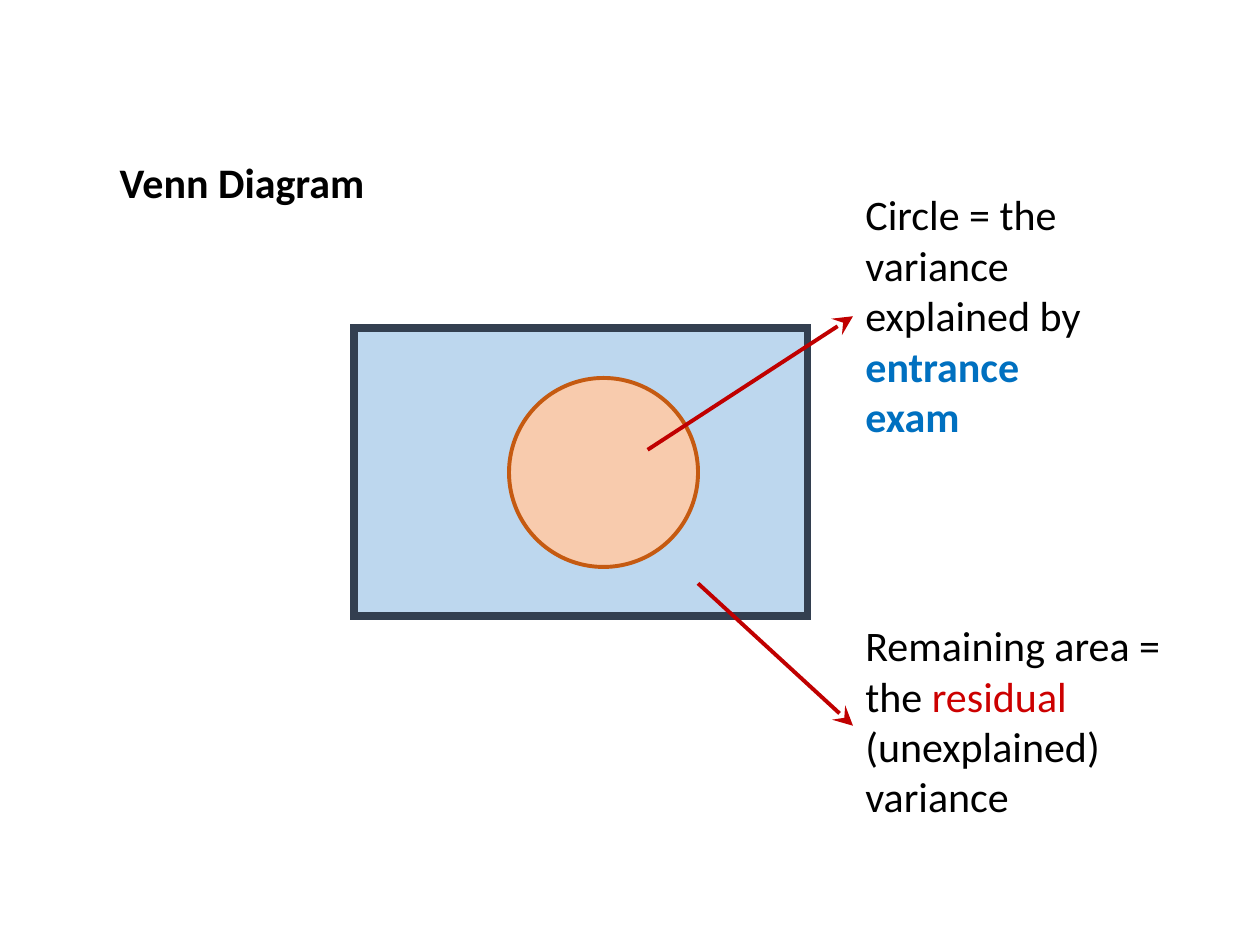
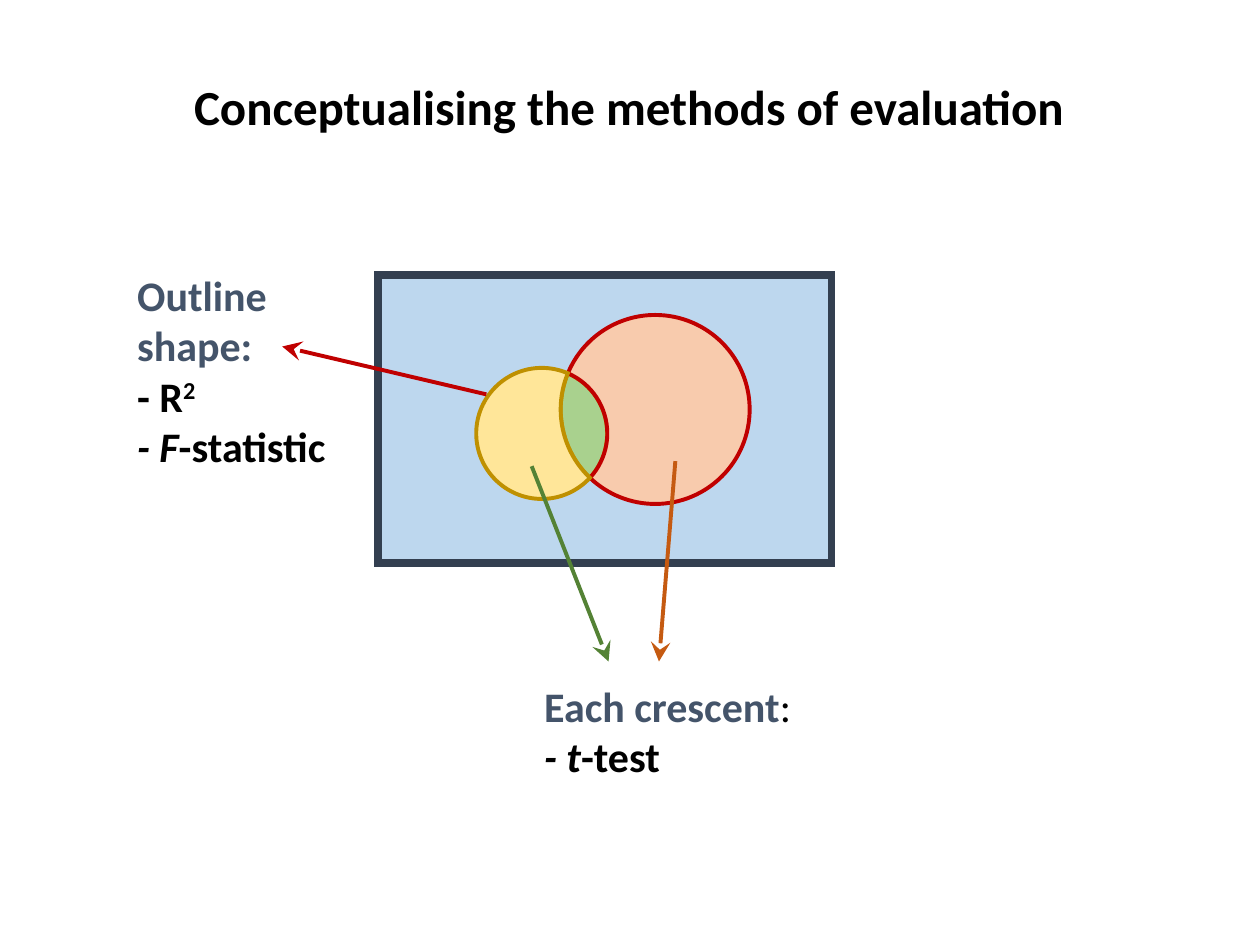
from dataclasses import dataclass
from math import acos, atan2, ceil, cos, floor, hypot, pi, sin, tan

from lxml.etree import SubElement
from pptx import Presentation
from pptx.dml.color import RGBColor
from pptx.enum.shapes import MSO_CONNECTOR, MSO_SHAPE
from pptx.enum.text import MSO_ANCHOR, MSO_AUTO_SIZE, PP_ALIGN
from pptx.oxml.ns import qn
from pptx.shapes.base import BaseShape
from pptx.slide import Slide
from pptx.text.text import TextFrame
from pptx.util import Emu, Pt

PX = 9144  # 100 px to the inch
TITLE_ONLY_LAYOUT = 5
QUARTER = pi / 2

Points = list[tuple[float, float]]


@dataclass(frozen=True)
class Theme:
    font: str = "Calibri"
    title_size: int = 28
    text_size: int = 24
    outline: float = 2.25
    frame_outline: float = 4.5
    black: str = "000000"
    white: str = "FFFFFF"
    slate: str = "44546A"
    navy: str = "333F50"
    sky: str = "BDD7EE"
    blue: str = "0070C0"
    peach: str = "F8CBAD"
    orange: str = "C55A11"
    red: str = "C00000"
    residual_red: str = "CC0000"
    mint: str = "A9D18E"
    green: str = "548235"
    yellow: str = "FFE699"
    gold: str = "BF9000"


THEME = Theme()


@dataclass(frozen=True)
class Box:
    left: int
    top: int
    width: int
    height: int

    def emu(self) -> tuple[Emu, Emu, Emu, Emu]:
        return tuple(Emu(value * PX) for value in (self.left, self.top, self.width, self.height))


@dataclass(frozen=True)
class Span:
    text: str
    color: str = THEME.black
    bold: bool = False
    italic: bool = False
    superscript: bool = False


@dataclass(frozen=True)
class Label:
    box: Box
    paragraphs: list[list[Span]]


@dataclass(frozen=True)
class Arrow:
    start: tuple[int, int]
    tip: tuple[int, int]
    color: str = THEME.red


@dataclass(frozen=True)
class Circle:
    x: int
    y: int
    radius: int

    def box(self) -> Box:
        return Box(self.x - self.radius, self.y - self.radius, 2 * self.radius, 2 * self.radius)

    def arc(self, start: float, end: float) -> Points:
        """Return Bézier points of an arc, cut at the quarters so that none leaves the box."""
        quarters = range(floor(start / QUARTER) + 1, ceil(end / QUARTER))
        angles = [start, *(quarter * QUARTER for quarter in quarters), end]

        def point(angle: float, pull: float = 0) -> tuple[float, float]:
            return (self.x + self.radius * (cos(angle) - pull * sin(angle)),
                    self.y + self.radius * (sin(angle) + pull * cos(angle)))

        points = [point(start)]
        for first, last in zip(angles, angles[1:]):
            pull = 4 / 3 * tan((last - first) / 4)
            points += [point(first, pull), point(last, -pull), point(last)]
        return points

    def split_by(self, other: "Circle") -> tuple[Points, Points]:
        """Return the arcs of this circle inside and outside the other, both clockwise."""
        distance = hypot(other.x - self.x, other.y - self.y)
        toward = atan2(other.y - self.y, other.x - self.x)
        half = acos((distance ** 2 + self.radius ** 2 - other.radius ** 2)
                    / (2 * distance * self.radius))
        return (self.arc(toward - half, toward + half),
                self.arc(toward + half, toward - half + 2 * pi))


def paint(shape: BaseShape, fill: str, line: str | None = None,
          width: float = THEME.outline) -> None:
    shape.shadow.inherit = False
    shape.fill.solid()
    shape.fill.fore_color.rgb = RGBColor.from_string(fill)
    if line is None:
        shape.line.fill.background()
    else:
        shape.line.color.rgb = RGBColor.from_string(line)
        shape.line.width = Pt(width)
        SubElement(shape.line._get_or_add_ln(), qn("a:miter"), lim="800000")


def write_text(frame: TextFrame, paragraphs: list[list[Span]], size: int) -> None:
    for index, spans in enumerate(paragraphs):
        paragraph = frame.add_paragraph() if index else frame.paragraphs[0]
        paragraph.alignment = PP_ALIGN.LEFT
        for span in spans:
            run = paragraph.add_run()
            run.text = span.text
            run.font.name = THEME.font
            run.font.size = Pt(size)
            run.font.bold = span.bold
            run.font.italic = span.italic
            run.font.color.rgb = RGBColor.from_string(span.color)
            if span.superscript:
                run._r.get_or_add_rPr().set("baseline", "30000")


def add_titled_slide(presentation: Presentation, title: str, box: Box, size: int) -> Slide:
    slide = presentation.slides.add_slide(presentation.slide_layouts[TITLE_ONLY_LAYOUT])
    shape = slide.shapes.title
    shape.left, shape.top, shape.width, shape.height = box.emu()
    frame = shape.text_frame
    frame.auto_size = MSO_AUTO_SIZE.NONE
    frame.vertical_anchor = MSO_ANCHOR.TOP
    frame.word_wrap = False
    write_text(frame, [[Span(title, bold=True)]], size)
    return slide


def add_label(slide: Slide, label: Label) -> None:
    frame = slide.shapes.add_textbox(*label.box.emu()).text_frame
    frame.word_wrap = True
    frame.auto_size = MSO_AUTO_SIZE.SHAPE_TO_FIT_TEXT
    write_text(frame, label.paragraphs, THEME.text_size)


def add_arrow(slide: Slide, arrow: Arrow) -> None:
    ends = [Emu(value * PX) for value in (*arrow.start, *arrow.tip)]
    connector = slide.shapes.add_connector(MSO_CONNECTOR.STRAIGHT, *ends)
    connector.line.color.rgb = RGBColor.from_string(arrow.color)
    connector.line.width = Pt(THEME.outline)
    SubElement(connector.line._get_or_add_ln(), qn("a:tailEnd"),
               type="stealth", w="lg", len="lg")
    SubElement(connector._element.spPr, qn("a:effectLst"))


def add_total_variance(slide: Slide, left: int, top: int) -> None:
    rectangle = slide.shapes.add_shape(MSO_SHAPE.RECTANGLE, *Box(left, top, 360, 229).emu())
    paint(rectangle, THEME.sky, THEME.navy, THEME.frame_outline)


def curve_segments(shape: BaseShape) -> None:
    """Turn every three line segments of a freeform into one cubic Bézier curve."""
    segments = list(shape._element.iter(qn("a:lnTo")))
    for index in range(0, len(segments), 3):
        curve, *others = segments[index:index + 3]
        curve.tag = qn("a:cubicBezTo")
        for segment in others:
            curve.append(segment[0])
            segment.getparent().remove(segment)


def add_region(slide: Slide, first_arc: Points, second_arc: Points, fill: str,
               line: str) -> None:
    start, *rest = [(round(x * PX), round(y * PX)) for x, y in first_arc + second_arc[1:]]
    builder = slide.shapes.build_freeform(*start)
    builder.add_line_segments(rest, close=True)
    region = builder.convert_to_shape()
    curve_segments(region)
    paint(region, fill, line)


def add_overlapping_circles(slide: Slide, small: Circle, large: Circle) -> None:
    small_inside, small_outside = small.split_by(large)
    large_inside, large_outside = large.split_by(small)
    add_region(slide, small_inside, large_inside, THEME.mint, THEME.gold)
    add_region(slide, large_outside, small_inside[::-1], THEME.peach, THEME.red)
    add_region(slide, small_outside, large_inside[::-1], THEME.yellow, THEME.gold)


def add_annotations(slide: Slide, arrows: list[Arrow], labels: list[Label]) -> None:
    for arrow in arrows:
        add_arrow(slide, arrow)
    for label in labels:
        add_label(slide, label)


def build_venn_slide(presentation: Presentation) -> None:
    slide = add_titled_slide(presentation, "Venn Diagram", Box(85, 119, 269, 50),
                             THEME.text_size)
    add_total_variance(slide, 281, 260)
    explained = slide.shapes.add_shape(MSO_SHAPE.OVAL, *Circle(479, 375, 75).box().emu())
    paint(explained, THEME.peach, THEME.orange)
    add_annotations(
        slide,
        [Arrow((514, 357), (677, 251)), Arrow((554, 463), (677, 576))],
        [Label(Box(677, 145, 198, 210), [[
            Span("Circle = the variance explained by "),
            Span("entrance exam", THEME.blue, bold=True)]]),
         Label(Box(677, 487, 256, 170), [[
             Span("Remaining area = the "),
             Span("residual", THEME.residual_red),
             Span(" (unexplained) variance")]])])


def build_evaluation_slide(presentation: Presentation) -> None:
    slide = add_titled_slide(presentation, "Conceptualising the methods of evaluation",
                             Box(144, 56, 711, 57), THEME.title_size)
    backdrop = slide.shapes.add_shape(MSO_SHAPE.RECTANGLE, *Box(288, 196, 449, 318).emu())
    paint(backdrop, THEME.white)
    add_total_variance(slide, 300, 218)
    add_overlapping_circles(slide, Circle(430, 344, 52), Circle(520, 325, 75))
    add_annotations(
        slide,
        [Arrow((386, 313), (224, 275)),
         Arrow((422, 370), (483, 525), THEME.green),
         Arrow((536, 366), (523, 525), THEME.orange)],
        [Label(Box(99, 209, 194, 170), [
            [Span("Outline shape:", THEME.slate, bold=True)],
            [Span("- R", bold=True), Span("2", bold=True, superscript=True)],
            [Span("- F", bold=True, italic=True), Span("-statistic", bold=True)]]),
         Label(Box(422, 535, 238, 90), [
             [Span("Each crescent", THEME.slate, bold=True), Span(":")],
             [Span("- t", bold=True, italic=True), Span("-test", bold=True)]])])


def main() -> None:
    presentation = Presentation()
    presentation.slide_width = Emu(1000 * PX)
    presentation.slide_height = Emu(750 * PX)
    build_venn_slide(presentation)
    build_evaluation_slide(presentation)
    presentation.save("out.pptx")


if __name__ == "__main__":
    main()
